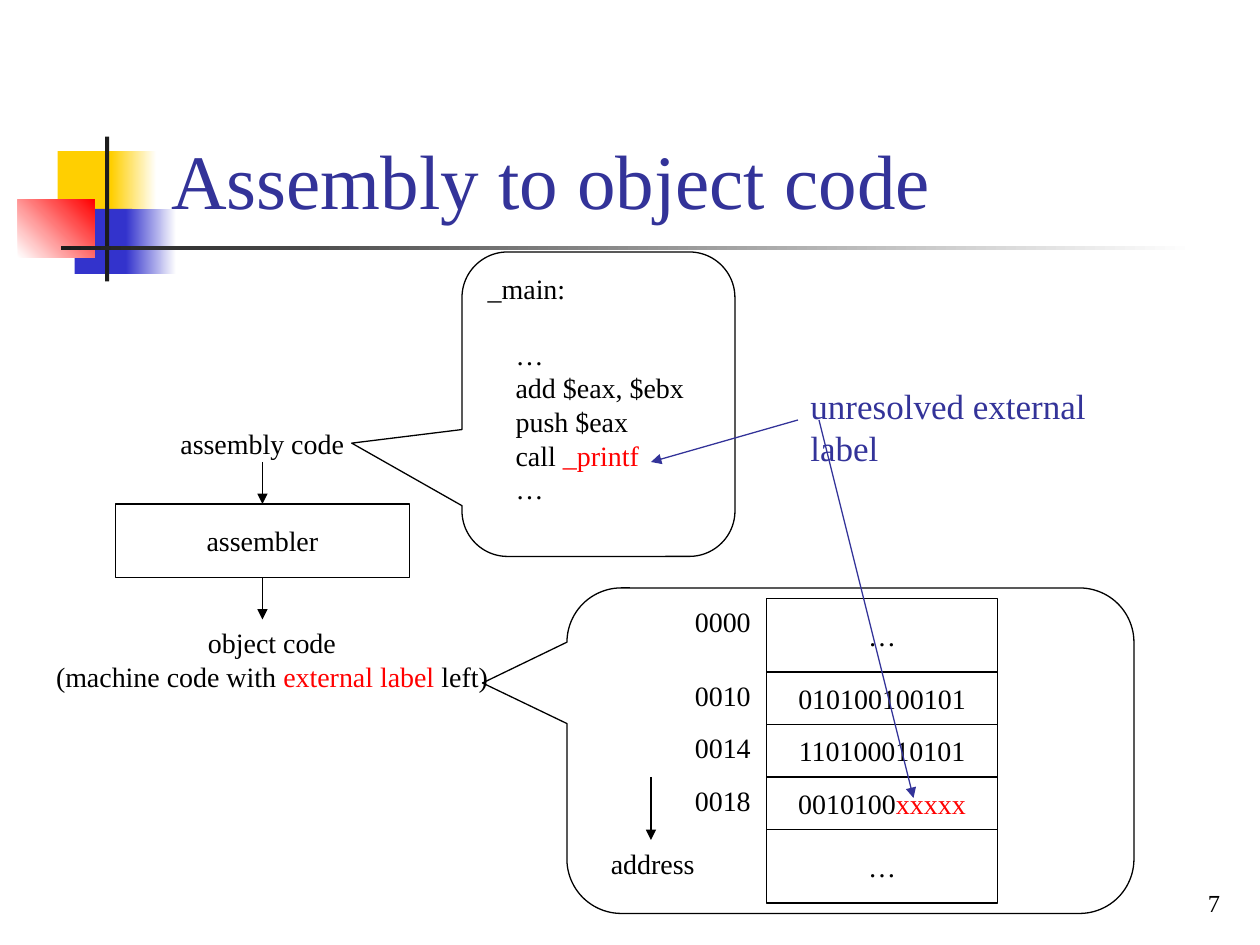
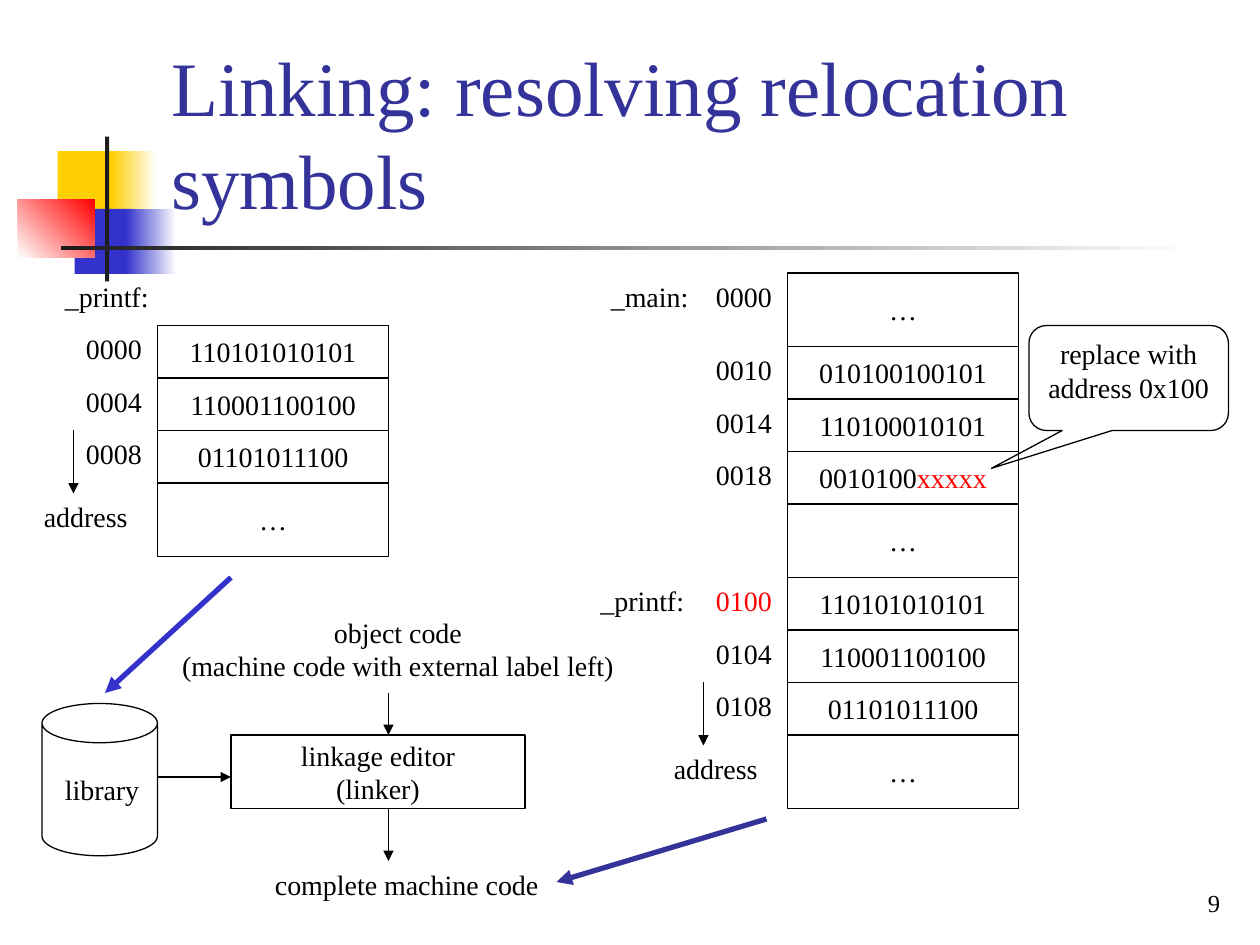
from dataclasses import dataclass

from lxml.etree import SubElement
from pptx import Presentation
from pptx.dml.color import RGBColor
from pptx.enum.shapes import MSO_CONNECTOR, MSO_SHAPE
from pptx.enum.text import MSO_ANCHOR, MSO_AUTO_SIZE, PP_ALIGN
from pptx.oxml.ns import qn
from pptx.util import Pt

PX = 7620  # EMU per px, 120 px to the inch
LEFT, MID, RIGHT = PP_ALIGN.LEFT, PP_ALIGN.CENTER, PP_ALIGN.RIGHT


@dataclass(frozen=True)
class Theme:
    font: str = "Times New Roman"
    ink: str = "000000"
    title: str = "333399"
    red: str = "FF0000"
    blue: str = "3333CC"
    gold: str = "FFCF01"
    dark: str = "1C1C1C"
    white: str = "FFFFFF"
    head: int = 44
    note: int = 20
    body: int = 16
    foot: int = 14
    thin: float = 0.75
    thick: int = 3


T = Theme()


@dataclass(frozen=True)
class Band:
    left: int
    top: int
    width: int
    height: int
    start: str
    end: str = ""
    angle: int = 0


@dataclass(frozen=True)
class Row:
    """One memory cell: its word, its address and any symbol naming it."""
    word: str
    addr: str = ""
    color: str = T.ink

    @property
    def height(self) -> int:
        return 70 if self.word == "…" else 50


BANDS = (
    Band(55, 144, 58, 62, T.gold),
    Band(106, 144, 43, 62, T.gold, T.white),
    Band(71, 199, 55, 62, T.blue),
    Band(120, 199, 48, 62, T.blue, T.white),
    Band(17, 190, 73, 55, T.white, T.red, 45),
    Band(100, 130, 4, 138, T.dark),
    Band(58, 234, 1080, 4, T.dark, T.white),
)

# Memory images: | switches to red and back
MAIN = (
    Row("…", "0000"),
    Row("010100100101", "0010"),
    Row("110100010101", "0014"),
    Row("0010100|xxxxx", "0018"),
    Row("…"),
)
WORDS = ("110101010101", "110001100100", "01101011100")


def routine(base: str, color: str = T.ink) -> tuple[Row, ...]:
    """Rows of _printf loaded at a base such as 00 or 01."""
    rows = [Row(word, f"{base}0{4 * i}", T.ink if i else color)
            for i, word in enumerate(WORDS)]
    return (*rows, Row("…"))


def rgb(color: str) -> RGBColor:
    return RGBColor.from_string(color)


def put(frame, text: str, *, size: int = T.body, color: str = T.ink,
        align=LEFT, anchor=MSO_ANCHOR.TOP, wrap: bool = False,
        grow: bool = False, gaps: dict[int, float] | None = None) -> None:
    """Fill a text frame, one paragraph a line."""
    frame.word_wrap = wrap
    frame.vertical_anchor = anchor
    frame.auto_size = (MSO_AUTO_SIZE.SHAPE_TO_FIT_TEXT if grow
                       else MSO_AUTO_SIZE.NONE)
    for i, line in enumerate(text.split("\n")):
        para = frame.paragraphs[0] if i == 0 else frame.add_paragraph()
        para.alignment = align
        if gaps and i in gaps:
            para.space_before = Pt(gaps[i])
        for j, part in enumerate(line.split("|")):
            if not part:
                continue
            run = para.add_run()
            run.text = part
            run.font.name = T.font
            run.font.size = Pt(size)
            run.font.color.rgb = rgb(T.red if j % 2 else color)


def shape(slide, kind, left: int, top: int, width: int, height: int):
    """Add an unfilled preset shape with a thin outline."""
    item = slide.shapes.add_shape(
        kind, left * PX, top * PX, width * PX, height * PX)
    item.shadow.inherit = False
    item.fill.background()
    item.line.color.rgb = rgb(T.ink)
    item.line.width = Pt(T.thin)
    return item


def box(slide, text: str, left: int, top: int, width: int, height: int) -> None:
    item = shape(slide, MSO_SHAPE.RECTANGLE, left, top, width, height)
    put(item.text_frame, text, align=MID, anchor=MSO_ANCHOR.MIDDLE)


def label(slide, text: str, left: int, top: int, width: int,
          height: int = 44, **style) -> None:
    item = slide.shapes.add_textbox(
        left * PX, top * PX, width * PX, height * PX)
    put(item.text_frame, text, **({"grow": True} | style))


def bubble(slide, left: int, top: int, width: int, height: int,
           tip: tuple[float, float], text: str = "", **style) -> None:
    item = shape(slide, MSO_SHAPE.ROUNDED_RECTANGULAR_CALLOUT,
                 left, top, width, height)
    for i, value in enumerate((*tip, 0.167)):
        item.adjustments[i] = value
    if text:
        put(item.text_frame, text, wrap=True, **style)


def arrow(slide, x1: int, y1: int, x2: int, y2: int,
          color: str = T.ink, weight: float = T.thin) -> None:
    item = slide.shapes.add_connector(
        MSO_CONNECTOR.STRAIGHT, x1 * PX, y1 * PX, x2 * PX, y2 * PX)
    item.line.color.rgb = rgb(color)
    item.line.width = Pt(weight)
    props = item.element.find(qn("p:spPr"))
    SubElement(props.find(qn("a:ln")), qn("a:tailEnd"), type="triangle")
    SubElement(props, qn("a:effectLst"))


def memory(slide, rows: tuple[Row, ...], left: int, top: int) -> None:
    """Stack cells downwards with their addresses on the left."""
    for row in rows:
        box(slide, row.word, left, top, 220, row.height)
        if row.addr:
            label(slide, row.addr, left - 80, top, 78, color=row.color)
        top += row.height


def axis(slide, x: int, top: int, shift: int = 40) -> None:
    """Show which way addresses grow."""
    arrow(slide, x, top, x, top + 60)
    label(slide, "address", x - shift, top + 60, 104)


def stage(slide, text: str, left: int, top: int, x: int, drop: int) -> None:
    """A processing step with arrows in and out at x."""
    arrow(slide, x, top - 40, x, top)
    box(slide, text, left, top, 280, 70)
    arrow(slide, x, top + 70, x, top + 70 + drop)


def start(deck, title: str, number: int):
    """Add a slide with its bands, title and number."""
    slide = deck.slides.add_slide(deck.slide_layouts[5])
    for band in BANDS:
        item = shape(slide, MSO_SHAPE.RECTANGLE,
                     band.left, band.top, band.width, band.height)
        item.line.fill.background()
        if band.end:
            item.fill.gradient()
            item.fill.gradient_angle = band.angle
            for stop, color in zip(item.fill.gradient_stops,
                                   (band.start, band.end)):
                stop.color.rgb = rgb(color)
        else:
            item.fill.solid()
            item.fill.fore_color.rgb = rgb(band.start)
    head = slide.shapes.title
    head.left, head.top = 151 * PX, 28 * PX
    head.width, head.height = 1022 * PX, 192 * PX
    put(head.text_frame, title, size=T.head, color=T.title,
        anchor=MSO_ANCHOR.BOTTOM, wrap=True)
    head.element.getparent().append(head.element)  # above the bands
    label(slide, str(number), 924, 820, 250, 60, size=T.foot, align=RIGHT,
          anchor=MSO_ANCHOR.BOTTOM, wrap=True, grow=False)
    return slide


def object_code(deck) -> None:
    slide = start(deck, "Assembly to object code", 7)

    # Assembler flow
    label(slide, "assembly code", 160, 400, 181)
    stage(slide, "assembler", 110, 480, 250, 40)
    label(slide, "object code\n(machine code with |external label| left)",
          40, 590, 438, 77, align=MID)

    # Assembly listing
    code = ("_main:\n    …\n    add $eax, $ebx\n    push $eax\n"
            "    call |_printf|\n    …")
    bubble(slide, 440, 240, 260, 290, (-0.904, 0.128), code, gaps={1: 18.4})

    # Object code in memory
    memory(slide, MAIN, 730, 570)
    axis(slide, 620, 740, 50)
    bubble(slide, 540, 560, 540, 310, (-0.649, -0.208))

    # Unresolved label
    label(slide, "unresolved external label", 760, 360, 330, 90,
          size=T.note, color=T.title, wrap=True)
    arrow(slide, 760, 400, 620, 440, T.title)
    arrow(slide, 780, 400, 870, 760, T.title)


def linking(deck) -> None:
    slide = start(deck, "Linking: resolving relocation symbols", 9)

    # Linker flow
    label(slide, "object code\n(machine code with external label left)",
          160, 580, 438, 77, align=MID)
    stage(slide, "linkage editor\n(linker)", 220, 700, 370, 50)
    label(slide, "complete machine code", 250, 820, 277)

    # Library store
    store = shape(slide, MSO_SHAPE.CAN, 40, 670, 110, 145)
    store.adjustments[0] = 0.34
    label(slide, "library", 50, 730, 96)
    arrow(slide, 150, 740, 220, 740)

    # Library routine
    label(slide, "_printf:", 50, 260, 104)
    memory(slide, routine("00"), 150, 310)
    axis(slide, 70, 410)

    # Linked program
    label(slide, "_main:", 570, 260, 98)
    label(slide, "_printf:", 560, 550, 104)
    memory(slide, MAIN + routine("01", T.red), 750, 260)
    axis(slide, 670, 650)
    bubble(slide, 980, 310, 190, 100, (-0.688, 0.86),
           "replace with address 0x100", align=MID)

    # Where each image goes
    arrow(slide, 220, 550, 100, 660, T.blue, T.thick)
    arrow(slide, 730, 780, 530, 840, T.title, T.thick)


def main() -> None:
    deck = Presentation()
    deck.slide_width, deck.slide_height = 1200 * PX, 900 * PX
    object_code(deck)
    linking(deck)
    deck.save("out.pptx")


if __name__ == "__main__":
    main()
